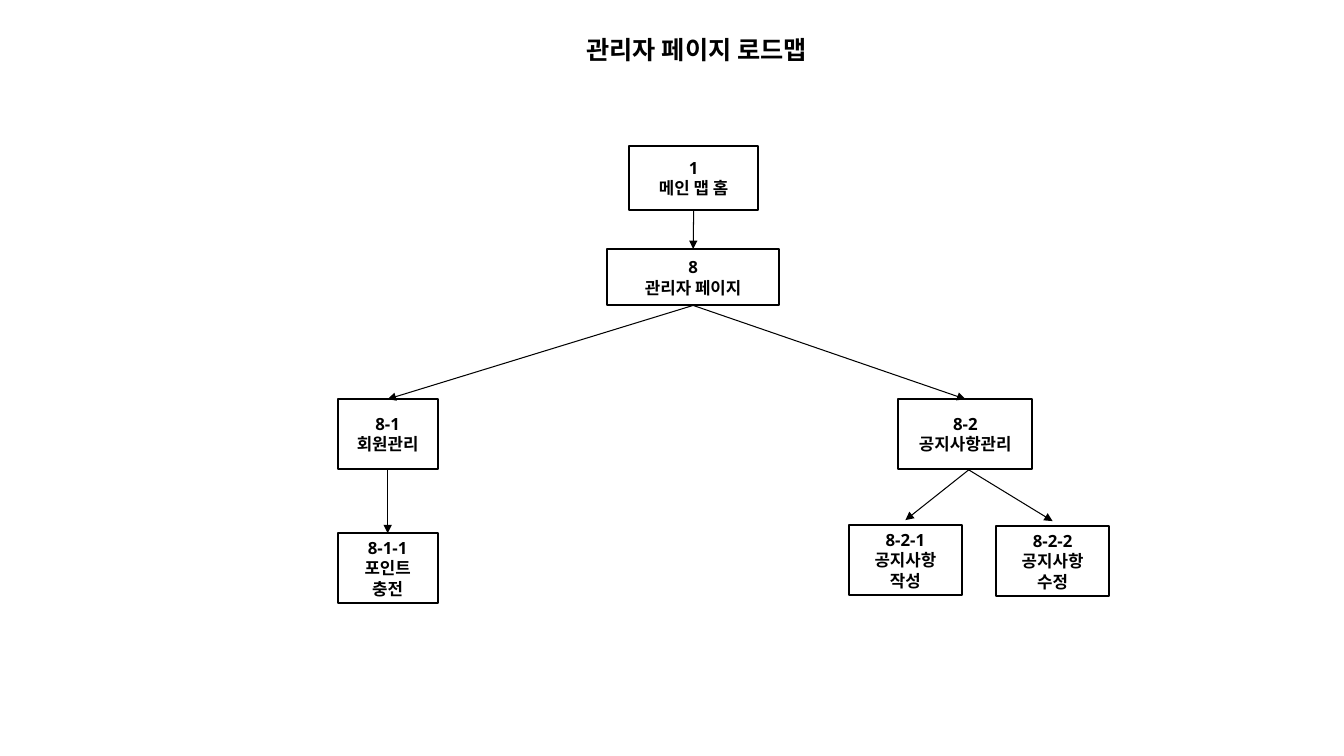
import dataclasses

import lxml.etree
import pptx
import pptx.dml.color
import pptx.enum.shapes
import pptx.enum.text
import pptx.oxml.ns
import pptx.util


@dataclasses.dataclass(frozen=True)
class Theme:
    ink: pptx.dml.color.RGBColor = pptx.dml.color.RGBColor(0, 0, 0)
    title_font: str = "Noto Sans CJK KR"
    box_font: str = "Open Sans"
    korean_font: str = "Noto Sans CJK KR"
    title_size: float = 18
    box_size: float = 12
    box_leading: float = 14.5
    box_line: float = 1.5
    arrow_line: float = 0.75


class RoadmapSlide:
    """Draws on a grid whose columns and rows are a tenth of an inch."""

    CELL = pptx.util.Inches(0.1)
    TOP_SITE, BOTTOM_SITE = 0, 2

    def __init__(self, presentation, theme):
        self.theme = theme
        self.slide = presentation.slides.add_slide(presentation.slide_layouts[6])

    def cells(self, *counts):
        return [round(count * self.CELL) for count in counts]

    def set_text(self, shape, text, font_name, size, inset, leading=None):
        frame = shape.text_frame
        frame.word_wrap = True
        frame.margin_left = frame.margin_right = self.CELL
        frame.margin_top = frame.margin_bottom = inset
        frame.text = text
        for paragraph in frame.paragraphs:
            paragraph.alignment = pptx.enum.text.PP_ALIGN.CENTER
            if leading:
                paragraph.line_spacing = pptx.util.Pt(leading)
            for run in paragraph.runs:
                run.font.name = font_name
                run.font.size = pptx.util.Pt(size)
                run.font.bold = True
                run.font.color.rgb = self.theme.ink
                east_asian = lxml.etree.SubElement(
                    run.font._element, pptx.oxml.ns.qn("a:ea"))
                east_asian.set("typeface", self.theme.korean_font)

    def title(self, text, left, top, width, height):
        shape = self.slide.shapes.add_textbox(*self.cells(left, top, width, height))
        self.set_text(shape, text, self.theme.title_font, self.theme.title_size,
                      self.CELL // 2)

    def box(self, text, left, top, width, height):
        shape = self.slide.shapes.add_shape(
            pptx.enum.shapes.MSO_SHAPE.RECTANGLE,
            *self.cells(left, top, width, height))
        shape.shadow.inherit = False
        shape.fill.background()
        shape.line.color.rgb = self.theme.ink
        shape.line.width = pptx.util.Pt(self.theme.box_line)
        shape.text_frame.vertical_anchor = pptx.enum.text.MSO_ANCHOR.MIDDLE
        self.set_text(shape, text, self.theme.box_font, self.theme.box_size,
                      self.CELL, self.theme.box_leading)
        return shape

    def arrow(self, start=(0, 0), end=(0, 0)):
        connector = self.slide.shapes.add_connector(
            pptx.enum.shapes.MSO_CONNECTOR.STRAIGHT, *self.cells(*start, *end))
        connector.line.color.rgb = self.theme.ink
        connector.line.width = pptx.util.Pt(self.theme.arrow_line)
        head = lxml.etree.SubElement(
            connector.line._get_or_add_ln(), pptx.oxml.ns.qn("a:tailEnd"))
        head.set("type", "triangle")
        lxml.etree.SubElement(
            connector._element.spPr, pptx.oxml.ns.qn("a:effectLst"))
        return connector

    def link(self, parent, child):
        """Joins the bottom of the parent box to the top of the child box."""
        connector = self.arrow()
        connector.begin_connect(parent, self.BOTTOM_SITE)
        connector.end_connect(child, self.TOP_SITE)


def main():
    presentation = pptx.Presentation()
    presentation.slide_width = pptx.util.Inches(13.33)
    presentation.slide_height = pptx.util.Inches(7.5)
    roadmap = RoadmapSlide(presentation, Theme())

    roadmap.title("관리자 페이지 로드맵", 52.4, 2.9, 33.4, 4)

    home = roadmap.box("1\n메인 맵 홈", 62.4, 14.5, 12.8, 6.3)
    admin = roadmap.box("8\n관리자 페이지", 60.2, 24.7, 17.1, 5.6)
    members = roadmap.box("8-1\n회원관리", 33.5, 39.6, 9.9, 6.9)
    notices = roadmap.box("8-2\n공지사항관리", 89.1, 39.6, 13.3, 6.9)
    points = roadmap.box("8-1-1\n포인트\n충전", 33.5, 52.9, 9.9, 6.9)
    roadmap.box("8-2-1\n공지사항\n작성", 84.2, 52.1, 11.2, 6.9)
    roadmap.box("8-2-2\n공지사항\n수정", 98.8, 52.2, 11.2, 6.9)

    for parent, child in ((home, admin), (admin, members),
                          (admin, notices), (members, points)):
        roadmap.link(parent, child)
    roadmap.arrow((96.1, 46.6), (89.8, 51.6))
    roadmap.arrow((95.9, 46.5), (104.4, 51.7))

    presentation.save("out.pptx")


if __name__ == "__main__":
    main()
